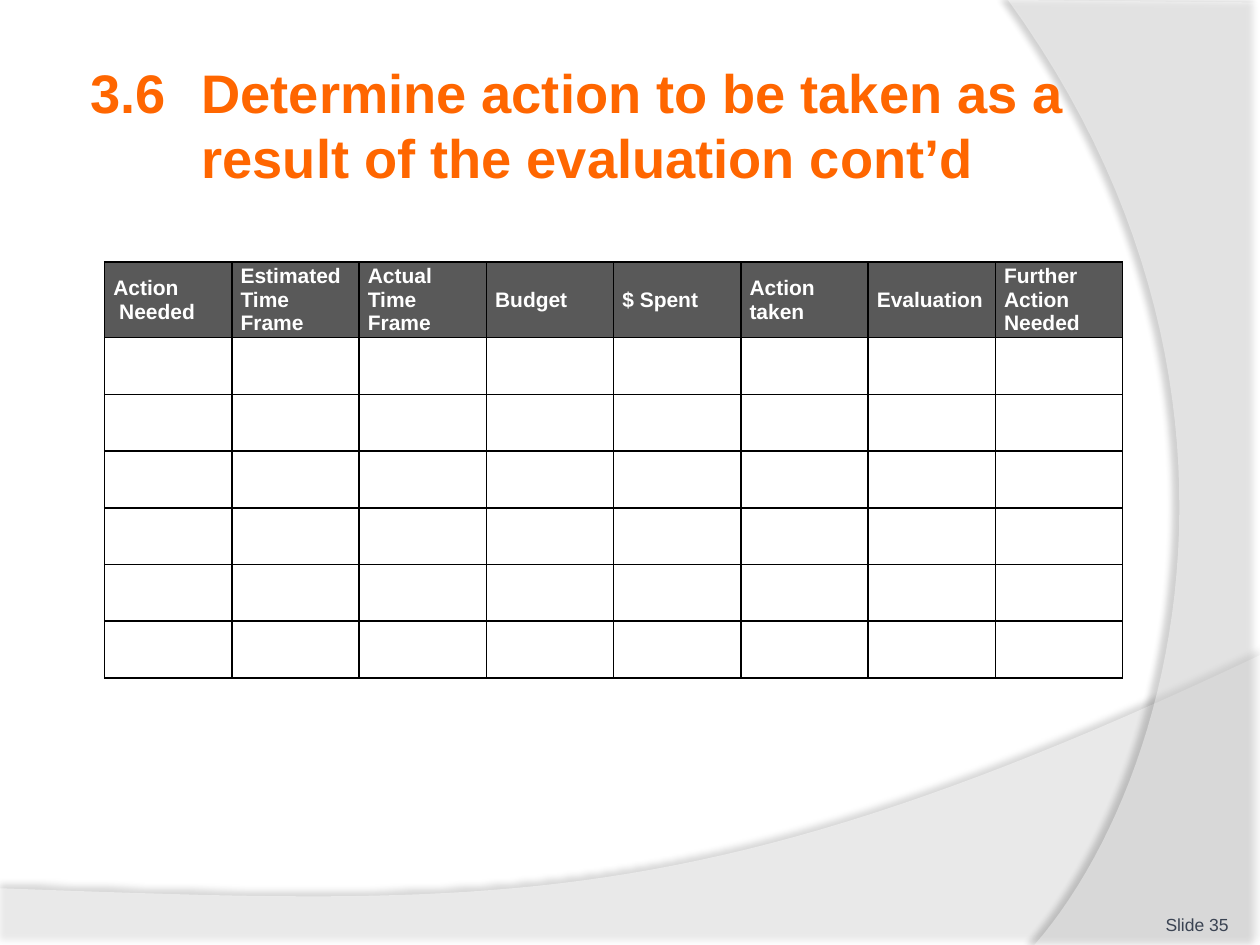
from dataclasses import dataclass

from lxml import etree
from pptx import Presentation
from pptx import util as u
from pptx.dml.color import RGBColor
from pptx.enum import text
from pptx.oxml import ns

ORANGE = RGBColor(0xFF, 0x66, 0x00)
SLATE = RGBColor(0x3A, 0x43, 0x52)
GREY = RGBColor(0x59, 0x59, 0x59)
WHITE = RGBColor(0xFF, 0xFF, 0xFF)
FONT = "Arial"
CURVE_STEPS = 48

Point = tuple[float, float]


@dataclass
class Wave:
    corners: list[Point]  # straight part; the curve starts at the last corner
    control_1: Point
    control_2: Point
    end: Point
    opacity: int
    shadow_opacity: int
    shadow_distance: float
    shadow_angle: int


@dataclass
class Style:
    size: float
    color: RGBColor
    bold: bool = False


WAVES = [
    Wave([(0, 7.05), (0, 7.5), (10, 7.5), (10, 5.2)],
         (5.59, 7.29), (3.91, 7.19), (0, 7.05), 45, 35, 3.5, 270),
    Wave([(10, 0.02), (10, 7.5), (8.21, 7.5)],
         (9.35, 6.19), (10.18, 3), (8, 0), 40, 45, 4, 180),
]
TITLE = Style(31, ORANGE, True)
HEADER = Style(12, WHITE, True)
FOOTER = Style(10, SLATE)
HEADINGS = ["Action\n Needed", "Estimated\nTime\nFrame", "Actual\nTime\nFrame", "Budget",
            "$ Spent", "Action taken", "Evaluation", "Further Action Needed"]
EMPTY_ROWS = 6


def add_element(parent, tag: str, **attributes):
    items = {name: str(value) for name, value in attributes.items()}
    return etree.SubElement(parent, ns.qn(tag), items)


def curve_points(wave: Wave) -> list[Point]:
    """Points along the cubic curve that closes the wave."""
    knots = (wave.corners[-1], wave.control_1, wave.control_2, wave.end)
    points = []
    for step in range(1, CURVE_STEPS + 1):
        t = step / CURVE_STEPS
        weights = ((1 - t) ** 3, 3 * t * (1 - t) ** 2, 3 * t * t * (1 - t), t ** 3)
        points.append(tuple(sum(w * knot[axis] for w, knot in zip(weights, knots))
                            for axis in (0, 1)))
    return points


def draw_wave(page, wave: Wave) -> None:
    outline = [(u.Inches(x), u.Inches(y)) for x, y in wave.corners + curve_points(wave)]
    builder = page.shapes.build_freeform(*outline[0])
    builder.add_line_segments(outline[1:], close=True)
    shape = builder.convert_to_shape()
    shape.line.fill.background()
    shape.fill.solid()
    shape.fill.fore_color.rgb = WHITE
    properties = shape.element.spPr
    fill_color = properties.find(".//" + ns.qn("a:solidFill"))[0]
    add_element(fill_color, "a:alpha", val=wave.opacity * 1000)
    # Soft shadow
    shape.shadow.inherit = False
    effects = properties.find(ns.qn("a:effectLst"))
    shadow = add_element(effects, "a:outerShdw", blurRad=u.Pt(4),
                         dist=u.Pt(wave.shadow_distance), dir=wave.shadow_angle * 60000,
                         algn="ctr", rotWithShape=0)
    color = add_element(shadow, "a:srgbClr", val="000000")
    add_element(color, "a:alpha", val=wave.shadow_opacity * 1000)


def write(para, words: str, style: Style) -> None:
    for index, line in enumerate(words.split("\n")):
        if index:
            para.add_line_break()
        span = para.add_run()
        span.text = line
        span.font.name = FONT
        span.font.size = u.Pt(style.size)
        span.font.bold = style.bold
        span.font.color.rgb = style.color


def add_text(page, left: float, top: float, width: float, height: float,
             words: str, style: Style, margin: float, anchor):
    box = page.shapes.add_textbox(*map(u.Inches, (left, top, width, height)))
    frame = box.text_frame
    frame.word_wrap = True
    frame.vertical_anchor = anchor
    frame.margin_left = frame.margin_right = u.Inches(margin)
    frame.margin_top = frame.margin_bottom = u.Inches(margin)
    para = frame.paragraphs[0]
    write(para, words, style)
    return para


def add_borders(cell) -> None:
    properties = cell._tc.get_or_add_tcPr()
    for side in ("a:lnL", "a:lnR", "a:lnT", "a:lnB"):
        line = add_element(properties, side, w=u.Pt(1))
        add_element(add_element(line, "a:solidFill"), "a:srgbClr", val="000000")


def draw_table(page) -> None:
    frame = page.shapes.add_table(EMPTY_ROWS + 1, len(HEADINGS), u.Inches(0.83),
                                  u.Inches(2.08), u.Inches(8.08), u.Inches(3.27))
    table = frame.table
    table.first_row = table.horz_banding = False
    for column in table.columns:
        column.width = u.Inches(1.01)
    for index, row in enumerate(table.rows):
        row.height = u.Inches(0.45 if index else 0.57)
        for cell in row.cells:
            add_borders(cell)
            cell.fill.background()
    # Heading row
    for cell, heading in zip(table.rows[0].cells, HEADINGS):
        cell.fill.solid()
        cell.fill.fore_color.rgb = GREY
        cell.vertical_anchor = text.MSO_ANCHOR.MIDDLE
        cell.margin_left = cell.margin_right = u.Inches(0.07)
        cell.margin_top = cell.margin_bottom = 0
        write(cell.text_frame.paragraphs[0], heading, HEADER)


def main() -> None:
    deck = Presentation()
    deck.slide_width, deck.slide_height = u.Inches(10), u.Inches(7.5)
    page = deck.slides.add_slide(deck.slide_layouts[6])

    # Background waves
    for wave in WAVES:
        draw_wave(page, wave)

    # Title with a hanging number
    title = add_text(page, 0.67, 0.36, 8.91, 1.25,
                     "3.6\tDetermine action to be taken as a result of the evaluation cont’d",
                     TITLE, 0.05, text.MSO_ANCHOR.MIDDLE)
    indent = title._p.get_or_add_pPr()
    indent.set("marL", str(u.Inches(0.88)))
    indent.set("indent", str(u.Inches(-0.88)))

    # Slide number
    number = add_text(page, 8.92, 7.02, 0.83, 0.4, "Slide 35", FOOTER, 0,
                      text.MSO_ANCHOR.BOTTOM)
    number.alignment = text.PP_ALIGN.RIGHT

    draw_table(page)
    deck.save("out.pptx")


if __name__ == "__main__":
    main()
